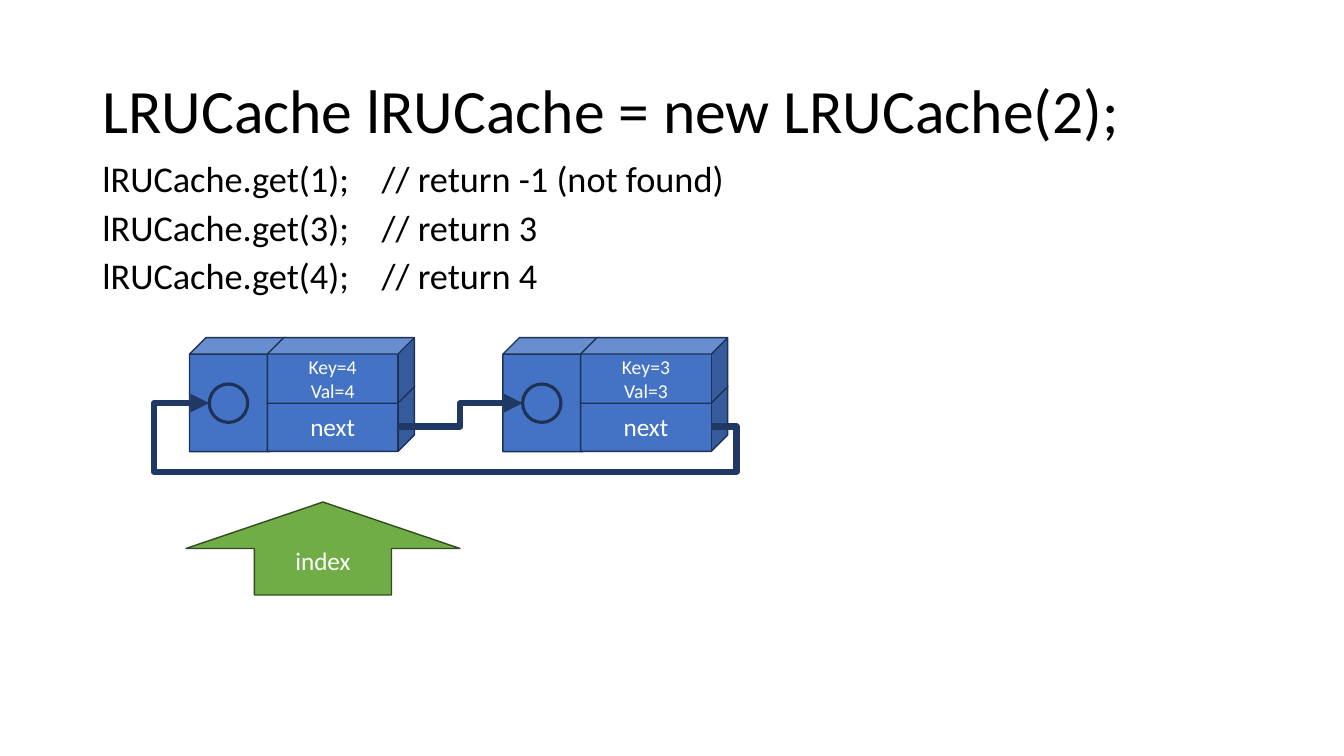
from dataclasses import dataclass
from lxml.etree import SubElement
from pptx import Presentation
from pptx.dml.color import RGBColor
from pptx.enum.shapes import MSO_CONNECTOR, MSO_SHAPE
from pptx.enum.text import MSO_ANCHOR, PP_ALIGN
from pptx.oxml.ns import qn
from pptx.util import Pt


@dataclass(frozen=True)
class Theme:
    font: str = "Calibri"
    ink: str = "000000"
    light: str = "FFFFFF"
    blue: str = "4472C4"
    edge: str = "1E3256"
    link: str = "203864"
    green: str = "70AD47"
    rim: str = "314C1F"
    title: float = 44
    code: float = 25.9
    label: float = 18
    small: float = 14


class Deck:
    """Draws styled elements on one slide."""

    def __init__(self, theme):
        self.theme = theme
        self.prs = Presentation()
        self.prs.slide_width, self.prs.slide_height = Pt(960), Pt(540)
        self.slide = self.prs.slides.add_slide(self.prs.slide_layouts[5])

    def style(self, para, size, color, **form):
        for name, value in form.items():
            setattr(para, name, value)
        face = {"name": self.theme.font, "size": Pt(size), "bold": False}
        for name, value in face.items():
            setattr(para.font, name, value)
        para.font.color.rgb = RGBColor.from_string(color)

    def title(self, text, box):
        shape = self.slide.shapes.title
        for name, value in zip(("left", "top", "width", "height"), box):
            setattr(shape, name, Pt(value))
        frame = shape.text_frame
        frame.text = text
        frame.vertical_anchor = MSO_ANCHOR.MIDDLE
        self.style(frame.paragraphs[0], self.theme.title, self.theme.ink,
                   alignment=PP_ALIGN.LEFT, line_spacing=0.9)

    def code(self, lines, box, stop):
        frame = self.slide.shapes.add_textbox(*map(Pt, box)).text_frame
        frame.word_wrap = True
        frame.text = "\n".join(lines)
        for i, para in enumerate(frame.paragraphs):
            form = {"line_spacing": 0.8, "space_before": Pt(10 if i else 0)}
            for name, value in form.items():
                setattr(para, name, value)
            tabs = SubElement(para._p.get_or_add_pPr(), qn("a:tabLst"))
            SubElement(tabs, qn("a:tab"), pos=str(Pt(stop)), algn="l")
            self.style(para, self.theme.code, self.theme.ink)

    def shape(self, kind, box, fill, edge, text="", size=18, width=1, adjust=None, group=None):
        home = group or self.slide
        shape = home.shapes.add_shape(kind, *map(Pt, box))
        shape.shadow.inherit = False
        shape.fill.solid()
        shape.fill.fore_color.rgb = RGBColor.from_string(fill)
        shape.line.color.rgb = RGBColor.from_string(edge)
        shape.line.width = Pt(width)
        if adjust is not None:
            shape.adjustments[0] = adjust
        if text:
            frame = shape.text_frame
            frame.text = text
            frame.vertical_anchor = MSO_ANCHOR.MIDDLE
            for para in frame.paragraphs:
                self.style(para, size, self.theme.light, alignment=PP_ALIGN.CENTER)

    def node(self, left, top, key):
        look = self.theme
        group = self.slide.shapes.add_group_shape()
        self.shape(MSO_SHAPE.CUBE, (left, top, 69.1, 81.4), look.blue, look.edge,
                   adjust=0.171, group=group)
        for drop, text, size in ((34.4, "next", look.label),
                                 (0, f"Key={key}\nVal={key}", look.small)):
            self.shape(MSO_SHAPE.CUBE, (left + 55.6, top + drop, 105, 46.8),
                       look.blue, look.edge, text, size, group=group)
        self.shape(MSO_SHAPE.FLOWCHART_CONNECTOR, (left + 14.1, top + 33.1, 27.4, 27.4),
                   look.blue, look.edge, width=2.25)

    def arrow(self, start, end, bends=()):
        line = self.slide.shapes.add_connector(MSO_CONNECTOR.ELBOW, *map(Pt, start + end))
        line.line.color.rgb = RGBColor.from_string(self.theme.link)
        line.line.width = Pt(4.5)
        SubElement(line.line._get_or_add_ln(), qn("a:tailEnd"), type="triangle")
        props = line._element.spPr
        SubElement(props, qn("a:effectLst"))
        if bends:
            geom = props.find(qn("a:prstGeom"))
            geom.set("prst", "bentConnector5")
            guides = geom.find(qn("a:avLst"))
            for i, bend in enumerate(bends, 1):
                SubElement(guides, qn("a:gd"), name=f"adj{i}", fmla=f"val {round(bend * 100000)}")


def main():
    look = Theme()
    deck = Deck(look)
    deck.title("LRUCache lRUCache = new LRUCache(2);", (66, 28.8, 828, 104.4))
    calls = ((1, "-1 (not found)"), (3, "3"), (4, "4"))
    deck.code([f"lRUCache.get({key});\t// return {value}" for key, value in calls],
              (66, 113.8, 828, 104.4), 199.5)
    top, lefts = 241.2, (135.4, 359.2)
    for left, key in zip(lefts, (4, 3)):
        deck.node(left, top, key)
    tails = [(left + 149, top + 63.4) for left in lefts]
    heads = [(left + 14.1, top + 46.8) for left in lefts]
    deck.arrow(tails[0], heads[1])
    deck.arrow(tails[1], heads[0], (-0.05, -1.95, 1.11))
    deck.shape(MSO_SHAPE.UP_ARROW, (132.8, 358.6, 195.8, 66.4), look.green, look.rim,
               "index", look.label)
    deck.prs.save("out.pptx")


if __name__ == "__main__":
    main()
